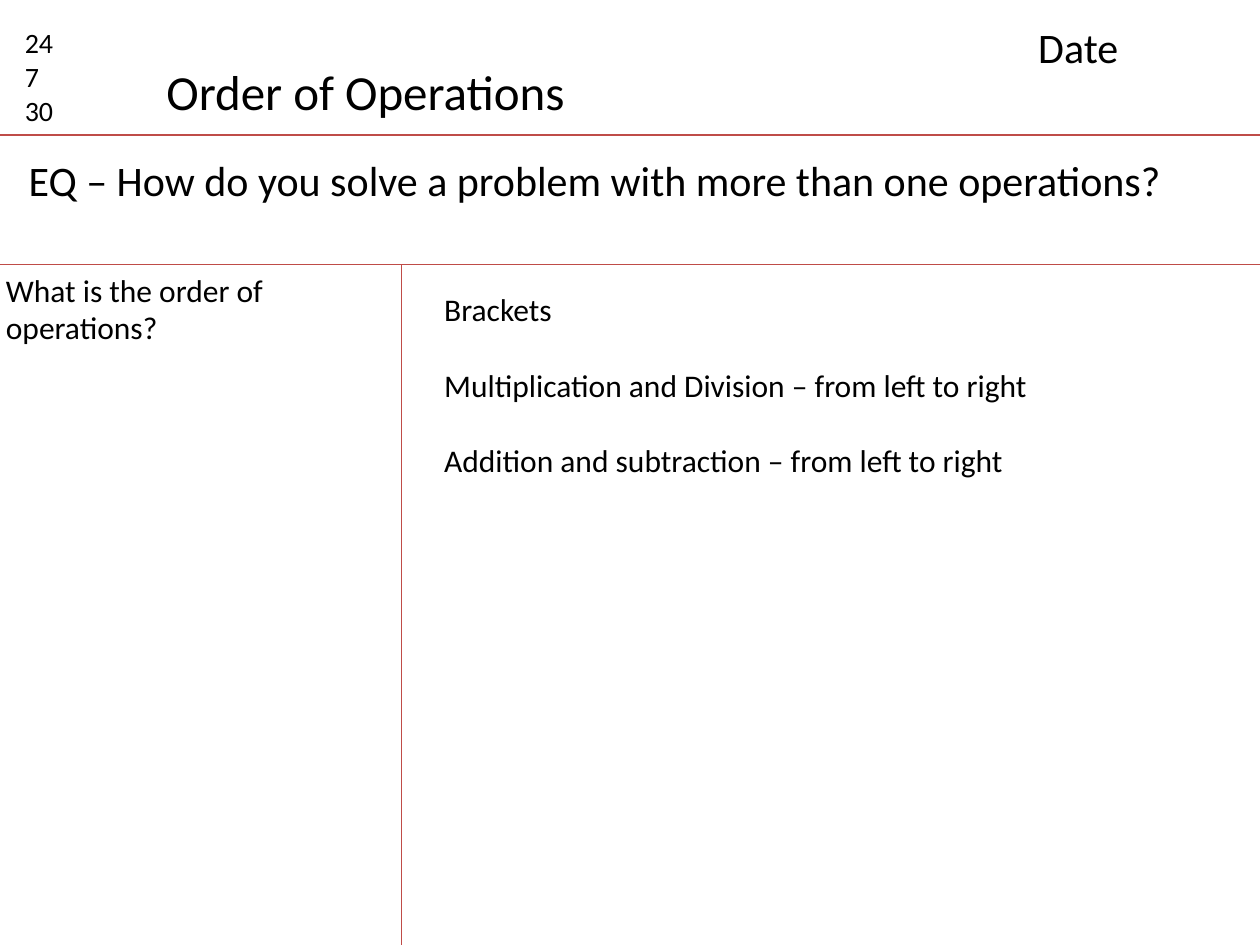
from lxml import etree
from pptx import Presentation
from pptx.dml.color import RGBColor
from pptx.enum.shapes import MSO_CONNECTOR
from pptx.enum.text import MSO_ANCHOR, MSO_AUTO_SIZE, PP_ALIGN
from pptx.oxml.ns import qn
from pptx.util import Cm, Pt

STRAIGHT = MSO_CONNECTOR.STRAIGHT
TOP = MSO_ANCHOR.TOP
LEFT = PP_ALIGN.LEFT
NO_AUTOFIT = MSO_AUTO_SIZE.NONE

BLACK = RGBColor(0, 0, 0)
RULE_RED = RGBColor(0xBF, 0x4C, 0x48)
FONT = "Calibri"

# Page and ruling positions, in centimetres
PAGE_W, PAGE_H = 25.4, 19.05
HEADER_Y, QUESTION_Y, MARGIN_X = 2.72, 5.33, 8.1


def add_rule(slide, x1, y1, x2, y2):
    line = slide.shapes.add_connector(STRAIGHT, Cm(x1), Cm(y1), Cm(x2), Cm(y2))
    line.line.color.rgb = RULE_RED
    line.line.width = Pt(0.75)
    etree.SubElement(line._element.spPr, qn("a:effectLst"))


def fill_text(shape, box, text, size, gap=0):
    """Place a shape and set its text, with a gap in points between paragraphs."""
    shape.left, shape.top, shape.width, shape.height = (Cm(v) for v in box)
    tf = shape.text_frame
    tf.text = text
    tf.word_wrap = True
    tf.auto_size = NO_AUTOFIT
    tf.vertical_anchor = TOP
    for i, p in enumerate(tf.paragraphs):
        p.alignment = LEFT
        p.space_before = Pt(gap if i else 0)
        for r in p.runs:
            r.font.name = FONT
            r.font.size = Pt(size)
            r.font.color.rgb = BLACK


def add_text(slide, box, text, size):
    fill_text(slide.shapes.add_textbox(0, 0, 0, 0), box, text, size)


def remove_bullets(shape):
    for p in shape.text_frame.paragraphs:
        pPr = p._p.get_or_add_pPr()
        pPr.set("marL", "0")
        pPr.set("indent", "0")
        etree.SubElement(pPr, qn("a:buNone"))


def main():
    prs = Presentation()
    prs.slide_width, prs.slide_height = Cm(PAGE_W), Cm(PAGE_H)
    s = prs.slides.add_slide(prs.slide_layouts[1])

    # Note page ruling
    for y in (HEADER_Y, QUESTION_Y):
        add_rule(s, 0, y, PAGE_W, y)
    add_rule(s, MARGIN_X, QUESTION_Y, MARGIN_X, PAGE_H)

    # Header
    add_text(s, (0.25, 0.4, 1.6, 2.31), "24\n7\n30", 16)
    fill_text(s.shapes.title, (3.1, 1.12, 8.64, 1.45), "Order of Operations", 28)
    add_text(s, (20.68, 0.3, 4.4, 1.27), "Date", 24)

    # Essential question and margin question
    add_text(s, (0.33, 3, 23.95, 1.27),
             "EQ – How do you solve a problem with more than one operations?", 24)
    add_text(s, (-0.13, QUESTION_Y, 7.82, 1.8),
             "What is the order of operations?", 18)

    # Notes
    steps = ("Brackets",
             "Multiplication and Division – from left to right",
             "Addition and subtraction – from left to right")
    notes = s.placeholders[1]
    fill_text(notes, (8.7, 5.72, 12.6, 5.64), "\n".join(steps), 18, gap=21.6)
    remove_bullets(notes)

    prs.save("out.pptx")


if __name__ == "__main__":
    main()
